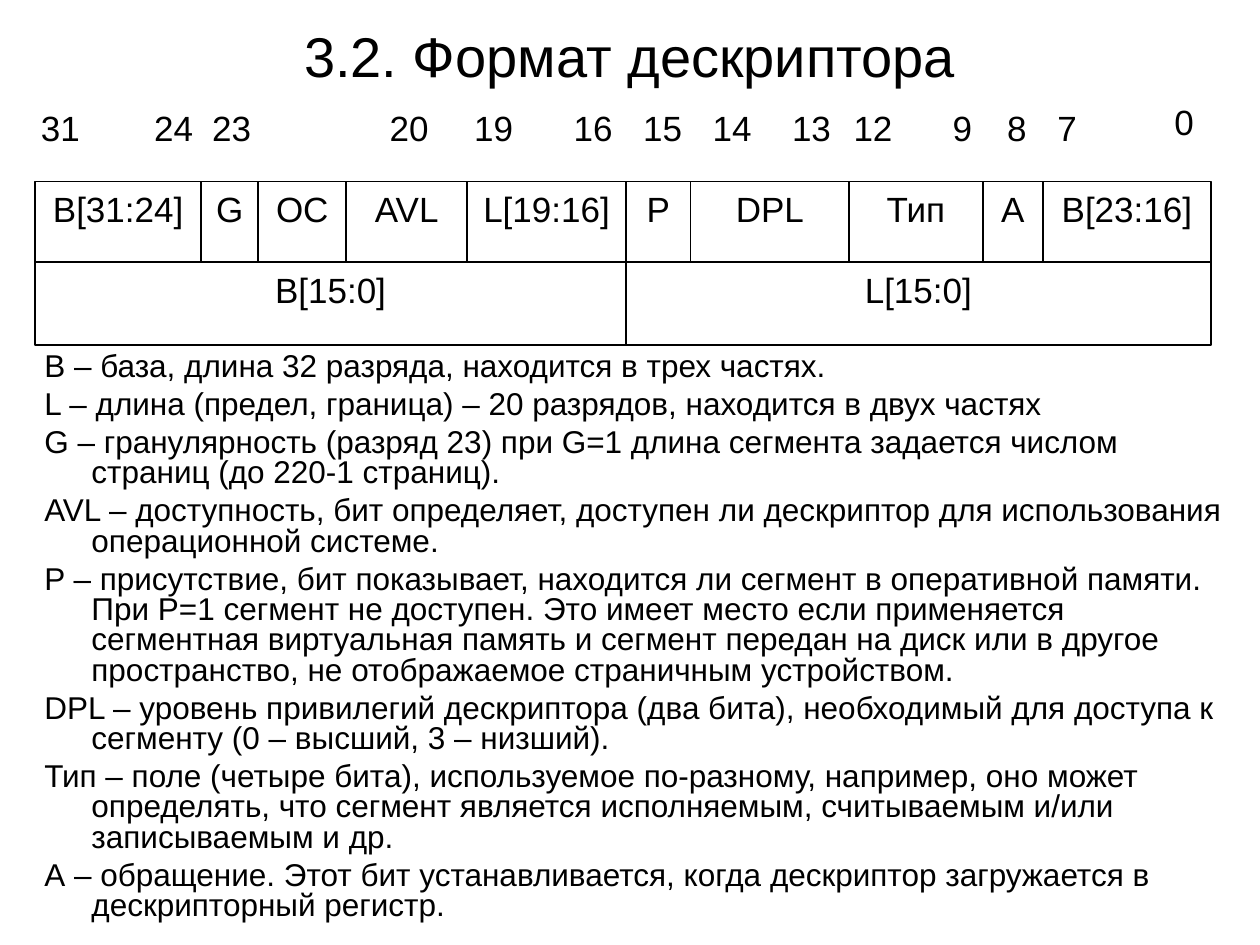
from itertools import pairwise

from lxml import etree
from pptx import Presentation
from pptx import util as u
from pptx.dml.color import RGBColor
from pptx.enum import shapes, text
from pptx.oxml.ns import qn

FIELDS = ["B[31:24]", "G", "ОС", "AVL", "L[19:16]", "P", "DPL", "Тип", "A", "B[23:16]"]
FIELD_EDGES = [0.71, 4.06, 5.21, 6.98, 9.42, 12.62, 13.92, 17.12, 19.81, 21.03, 24.41]
LOW_FIELDS = ["B[15:0]", "L[15:0]"]
LOW_EDGES = [0.71, 12.62, 24.41]
BIT_TOP = 2.03
BITS = {
    "31": 0.46, "24": 2.74, "23": 3.91, "20": 7.49, "19": 9.19, "16": 11.2, "15": 12.6,
    "14": 14, "13": 15.6, "12": 16.84, "9": 18.64, "8": 19.74, "7": 20.75,
}
NOTES = [
    "В – база, длина 32 разряда, находится в трех частях.",
    "L – длина (предел, граница) – 20 разрядов, находится в двух частях",
    "G – гранулярность (разряд 23) при G=1 длина сегмента задается числом страниц (до 220-1 страниц).",
    "AVL – доступность, бит определяет, доступен ли дескриптор для использования операционной системе.",
    "P – присутствие, бит показывает, находится ли сегмент в оперативной памяти. При Р=1 сегмент "
    "не доступен. Это имеет место если применяется сегментная виртуальная память и сегмент передан "
    "на диск или в другое пространство, не отображаемое страничным устройством.",
    "DPL – уровень привилегий дескриптора (два бита), необходимый для доступа к сегменту "
    "(0 – высший, 3 – низший).",
    "Тип – поле (четыре бита), используемое по-разному, например, оно может определять, что сегмент "
    "является исполняемым, считываемым и/или записываемым и др.",
    "А – обращение. Этот бит устанавливается, когда дескриптор загружается в дескрипторный регистр.",
]


def color(value):
    return RGBColor.from_string(value)


class DescriptorSlide:
    font = "Arial"
    ink = "000000"
    paper = "FFFFFF"

    def __init__(self, deck):
        self.page = deck.slides.add_slide(deck.slide_layouts[1])

    def add_span(self, para, words, size, align):
        para.alignment = align
        span = para.add_run()
        span.text = words
        span.font.name = self.font
        span.font.size = u.Pt(size)
        span.font.color.rgb = color(self.ink)

    def place(self, box, left, top, width, height):
        box.left, box.top = u.Cm(left), u.Cm(top)
        box.width, box.height = u.Cm(width), u.Cm(height)
        box.text_frame.auto_size = text.MSO_AUTO_SIZE.NONE

    def title(self, words):
        box = self.page.shapes.title
        self.place(box, 1.27, 0.64, 22.86, 0.94)
        box.text_frame.vertical_anchor = text.MSO_ANCHOR.MIDDLE
        self.add_span(box.text_frame.paragraphs[0], words, 32, text.PP_ALIGN.CENTER)

    def hanging_list(self, items):
        box = self.page.placeholders[1]
        self.place(box, 0.64, 6.99, 24.33, 12.06)
        frame = box.text_frame
        for index, item in enumerate(items):
            para = frame.add_paragraph() if index else frame.paragraphs[0]
            props = para._p.get_or_add_pPr()
            props.set("marL", str(u.Cm(0.95)))
            props.set("indent", str(u.Cm(-0.95)))
            etree.SubElement(props, qn("a:buNone"))
            para.line_spacing = 0.8
            para.space_before = u.Pt(4.5 if index else 0)
            self.add_span(para, item, 18, text.PP_ALIGN.LEFT)

    def centered_text(self, box, words):
        frame = box.text_frame
        frame.word_wrap = True
        frame.vertical_anchor = text.MSO_ANCHOR.TOP
        self.add_span(frame.paragraphs[0], words, 20, text.PP_ALIGN.CENTER)

    def field_row(self, names, edges, top):
        for name, (left, right) in zip(names, pairwise(edges)):
            box = self.page.shapes.add_shape(
                shapes.MSO_SHAPE.RECTANGLE, u.Cm(left), u.Cm(top), u.Cm(right - left), u.Cm(1.66))
            box.shadow.inherit = False
            box.fill.solid()
            box.fill.fore_color.rgb = color(self.paper)
            box.line.color.rgb = color(self.ink)
            box.line.width = u.Pt(1)
            self.centered_text(box, name)

    def bit_number(self, number, left, top):
        box = self.page.shapes.add_textbox(u.Cm(left), u.Cm(top), u.Cm(1.52), u.Cm(1.6))
        self.centered_text(box, number)


def main():
    deck = Presentation()
    deck.slide_width, deck.slide_height = u.Cm(25.4), u.Cm(19.05)
    slide = DescriptorSlide(deck)
    slide.title("3.2. Формат дескриптора")
    slide.hanging_list(NOTES)
    slide.field_row(FIELDS, FIELD_EDGES, 3.66)
    slide.field_row(LOW_FIELDS, LOW_EDGES, 5.29)
    for number, left in BITS.items():
        slide.bit_number(number, left, BIT_TOP)
    slide.bit_number("0", 23.11, 1.9)
    deck.save("out.pptx")


if __name__ == "__main__":
    main()
